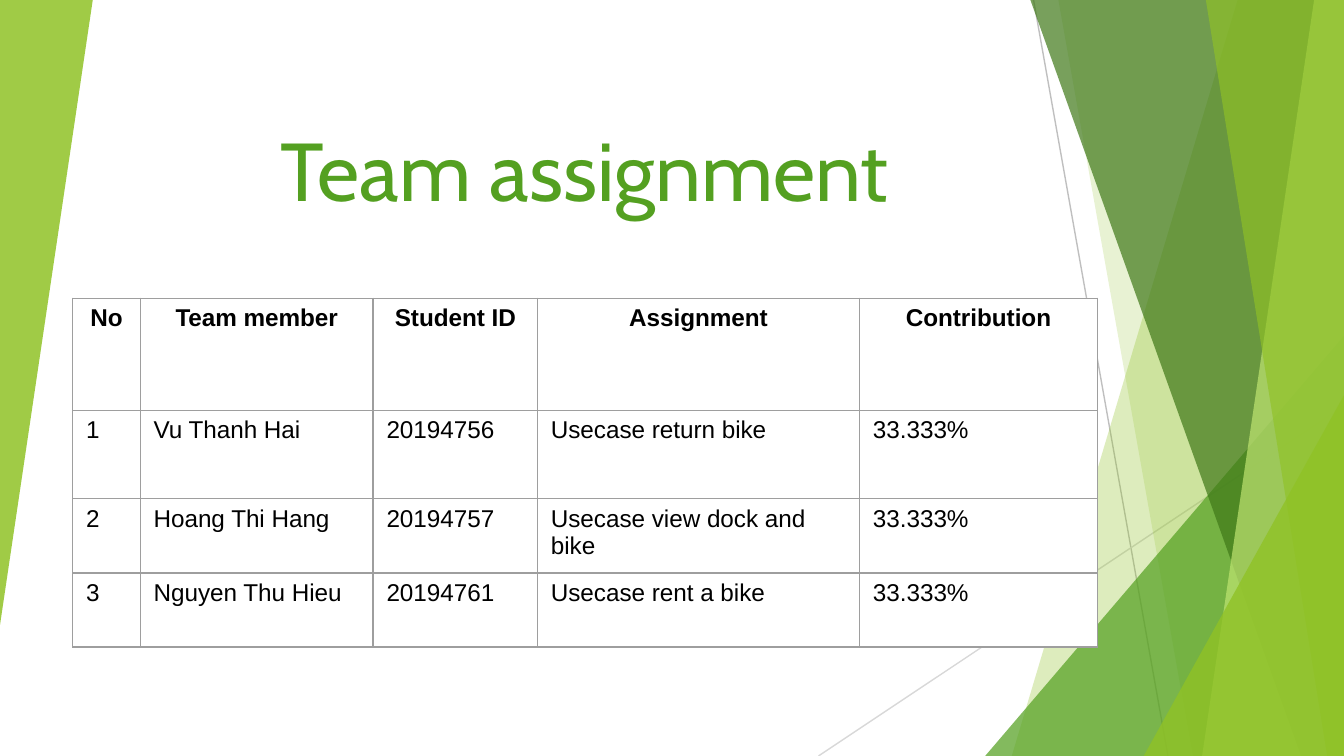
from typing import NamedTuple

from pptx import Presentation
from pptx.dml.color import RGBColor
from pptx.enum.shapes import MSO_CONNECTOR as Link, MSO_SHAPE as Shape
from pptx.enum.text import MSO_ANCHOR as Anchor, PP_ALIGN as Align
from pptx.oxml.ns import qn
from pptx.oxml.xmlchemy import OxmlElement as Node
from pptx.util import Pt

WIDE, HIGH = 720, 405
LIME, GREEN, GREY = "90C226", "54A021", "9E9E9E"


class Ray(NamedTuple):
    start: tuple[float, float]
    end: tuple[float, float]
    tint: str


class Facet(NamedTuple):
    """A panel from a slanted left edge to the right side of the slide."""
    top: float
    foot: float
    tint: str
    alpha: int


class Wedge(NamedTuple):
    """A right triangle with its tip over its right corner."""
    left: float
    top: float
    width: float
    height: float
    tint: str
    alpha: int
    turn: int = 0


RAYS = [
    Ray((553.7, 0), (625.7, HIGH), "BFBFBF"),
    Ray((WIDE, 217.4), (438.5, HIGH), "D8D8D8"),
]
PANELS = [
    Facet(663, 542, LIME, 30),
    Facet(567.4, 638.6, LIME, 20),
    Wedge(527.8, 180, 192.2, 225, GREEN, 72),
    Facet(551.5, 697, "3F7818", 70),
    Facet(704, 643.7, "BFE471", 70),
    Facet(645.8, 711.4, LIME, 65),
    Wedge(612.7, 211.7, 107.3, 193.3, LIME, 80),
    Wedge(0, 0, 49.7, 334.8, LIME, 85, 180),
]
HEADS = ["No", "Team member", "Student ID", "Assignment", "Contribution"]
TEAM = [
    ("Vu Thanh Hai", "20194756", "Usecase return bike"),
    ("Hoang Thi Hang", "20194757", "Usecase view dock and bike"),
    ("Nguyen Thu Hieu", "20194761", "Usecase rent a bike"),
]
SHARE = "33.333%"
COLS = [36.2, 124.8, 88.1, 172.5, 127.5]
ROWS = [60, 47.5, 39.7, 39.7]


def color(tint: str) -> RGBColor:
    return RGBColor.from_string(tint)


def add_run(para, text: str, font: str, size: float, tint: str,
            bold: bool = False) -> None:
    run = para.add_run()
    run.text = text
    run.font.name, run.font.size, run.font.bold = font, Pt(size), bold
    run.font.color.rgb = color(tint)


def draw_ray(slide, ray: Ray) -> None:
    ends = [Pt(n) for n in ray.start + ray.end]
    line = slide.shapes.add_connector(Link.STRAIGHT, *ends)
    line.line.width = Pt(0.75)
    line.line.color.rgb = color(ray.tint)
    line.element.spPr.append(Node("a:effectLst"))


def draw_panel(slide, part: Facet | Wedge) -> None:
    if isinstance(part, Facet):
        pen = slide.shapes.build_freeform(part.top, 0, scale=Pt(1))
        pen.add_line_segments([(WIDE, 0), (WIDE, HIGH), (part.foot, HIGH)])
        shape = pen.convert_to_shape()
    else:
        box = [Pt(n) for n in part[:4]]
        shape = slide.shapes.add_shape(Shape.ISOSCELES_TRIANGLE, *box)
        shape.adjustments[0] = 1
        shape.rotation = part.turn
    shape.shadow.inherit = False
    shape.line.fill.background()
    shape.fill.solid()
    shape.fill.fore_color.rgb = color(part.tint)
    alpha = Node("a:alpha")
    alpha.set("val", str(part.alpha * 1000))
    shape.element.spPr.find(qn("a:solidFill"))[0].append(alpha)


def add_edges(cell) -> None:
    props = cell._tc.get_or_add_tcPr()
    for side in "LRTB":
        edge, fill, tint = (Node(f"a:ln{side}"), Node("a:solidFill"),
                            Node("a:srgbClr"))
        edge.set("w", str(Pt(0.75)))
        tint.set("val", GREY)
        fill.append(tint)
        edge.append(fill)
        props.append(edge)


def fill_cell(cell, text: str, head: bool) -> None:
    add_edges(cell)
    cell.fill.solid()
    cell.fill.fore_color.rgb = color("FFFFFF")
    para = cell.text_frame.paragraphs[0]
    para.alignment = Align.CENTER if head else Align.LEFT
    add_run(para, text, "Arial", 13, "000000", head)


def draw_table(slide) -> None:
    data = [HEADS] + [(str(n), *who, SHARE) for n, who in enumerate(TEAM, 1)]
    table = slide.shapes.add_table(
        len(ROWS), len(COLS), Pt(38.9), Pt(159.8),
        Pt(sum(COLS)), Pt(sum(ROWS))).table
    table.first_row = table.horz_banding = False
    for col, width in zip(table.columns, COLS):
        col.width = Pt(width)
    for r, (row, high) in enumerate(zip(table.rows, ROWS)):
        row.height = Pt(high)
        for cell, text in zip(row.cells, data[r]):
            fill_cell(cell, text, r == 0)


def set_title(slide, text: str) -> None:
    title = slide.shapes.title
    title.left, title.top = Pt(116), Pt(58.3)
    title.width, title.height = Pt(394.5), Pt(65.5)
    frame = title.text_frame
    frame.word_wrap = True
    frame.vertical_anchor = Anchor.BOTTOM
    frame.margin_left = frame.margin_right = Pt(7.2)
    frame.margin_top = frame.margin_bottom = Pt(7.2)
    para = frame.paragraphs[0]
    para.alignment = Align.CENTER
    add_run(para, text, "Cabin", 44, GREEN)


def main() -> None:
    deck = Presentation()
    deck.slide_width, deck.slide_height = Pt(WIDE), Pt(HIGH)
    slide = deck.slides.add_slide(deck.slide_layouts[5])

    # Backdrop of thin lines and clear green panels
    for ray in RAYS:
        draw_ray(slide, ray)
    for part in PANELS:
        draw_panel(slide, part)

    # Content
    draw_table(slide)
    set_title(slide, "Team assignment")
    deck.save("out.pptx")


if __name__ == "__main__":
    main()
